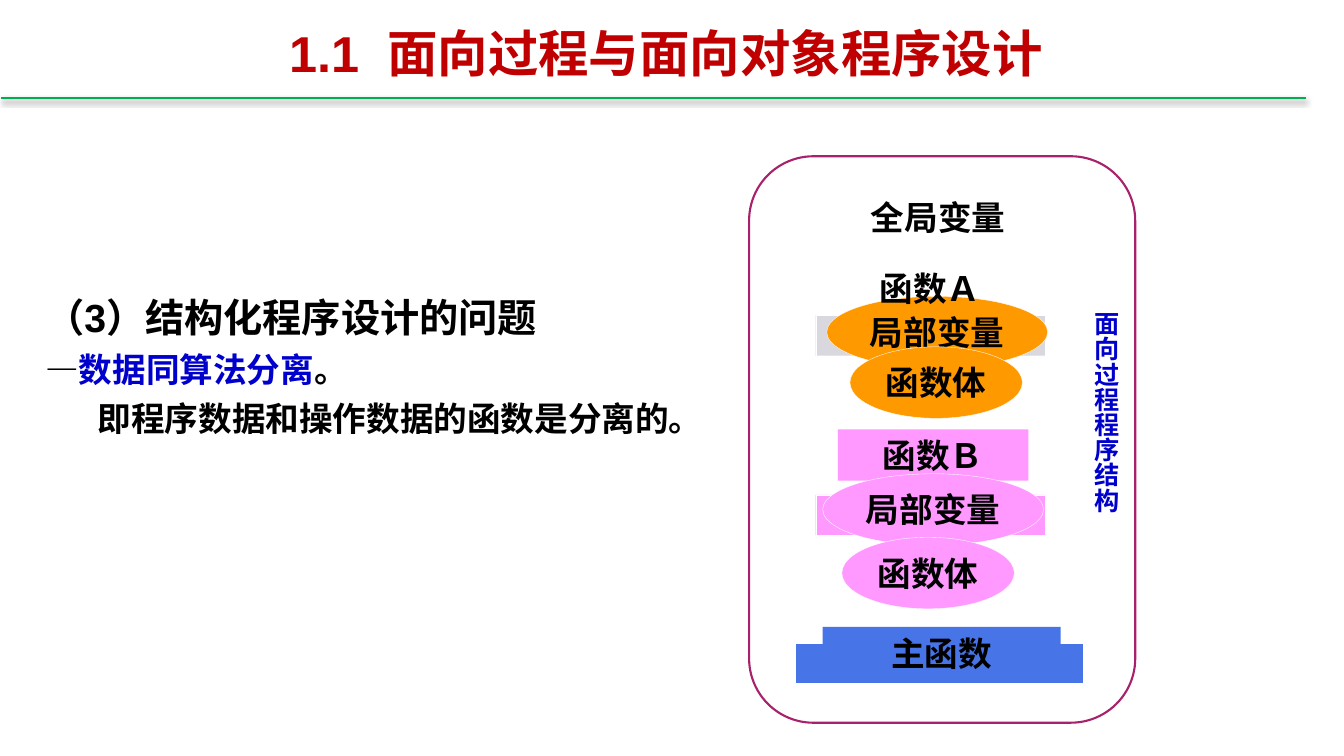
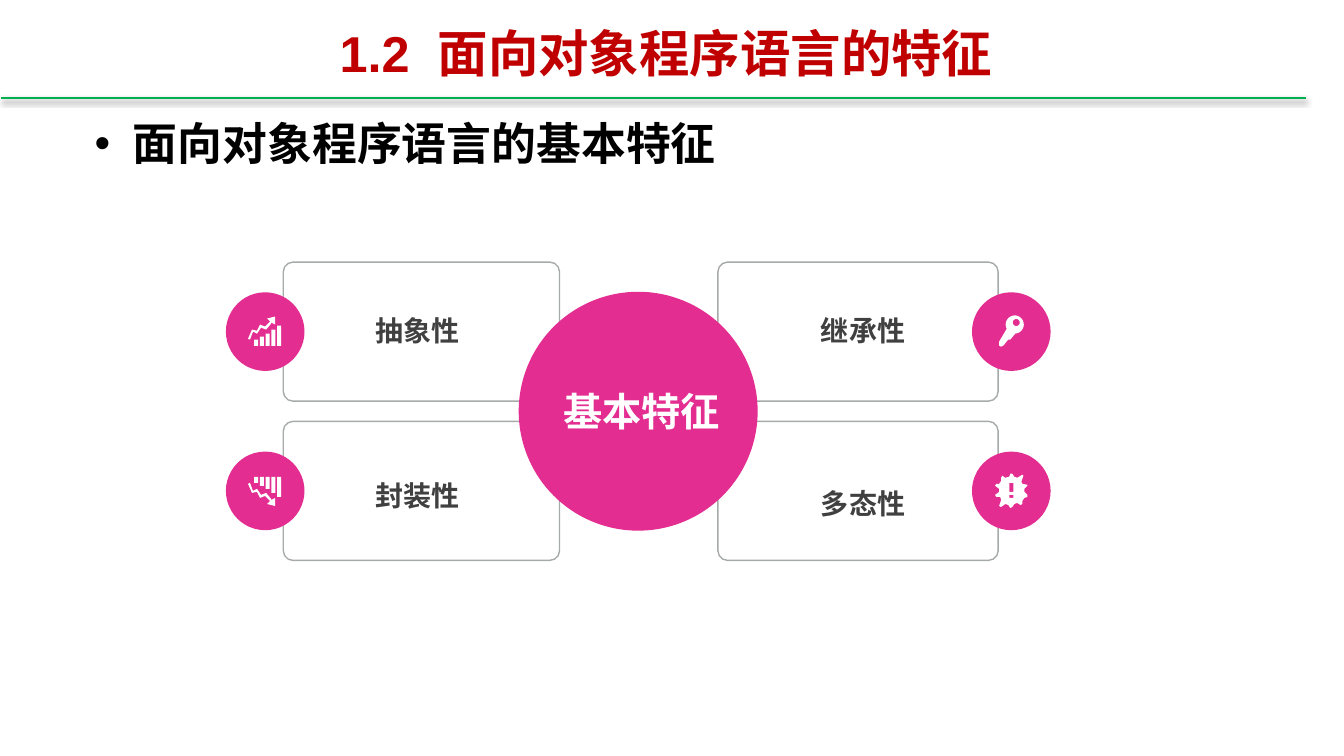
from math import cos, radians, sin

from lxml.etree import SubElement
from pptx import Presentation
from pptx.dml.color import RGBColor
from pptx.enum.shapes import MSO_CONNECTOR as Conn, MSO_SHAPE as Kind
from pptx.enum.text import MSO_ANCHOR as Anchor, PP_ALIGN as Align
from pptx.oxml.ns import qn
from pptx.util import Inches, Pt

ARIAL, TIMES, NOTO = "Arial", "Times New Roman", "Noto Sans CJK SC"
RED, GREEN, BLUE, PINK = "C00000", "00B050", "0000CC", "E32D91"
BLACK, WHITE, GREY, DARK = "000000", "FFFFFF", "A6AAA9", "404040"
ORANGE, LILAC, ROYAL, PALE = "FF9900", "FF99FF", "4775E7", "D8D8DE"
PLUM = "A8216B"


def rgb(code):
    return RGBColor.from_string(code)


def write(frame, paras, size=24, font=TIMES, color=BLACK, align=Align.CENTER,
          anchor=Anchor.MIDDLE, inset=(0.1, 0.05), wrap=True, gap=0, lead=None):
    """Fill a frame; each paragraph is a string or a list of (text, changes)."""
    frame.word_wrap = wrap
    frame.vertical_anchor = anchor
    frame.margin_left = frame.margin_right = Inches(inset[0])
    frame.margin_top = frame.margin_bottom = Inches(inset[1])
    for i, runs in enumerate([paras] if isinstance(paras, str) else paras):
        para = frame.add_paragraph() if i else frame.paragraphs[0]
        para.alignment = align
        if i and gap:
            para.space_before = Pt(gap)
        if lead:
            para.line_spacing = lead
        for text, diff in [(runs, {})] if isinstance(runs, str) else runs:
            run = para.add_run()
            run.text = text
            run.font.size = Pt(diff.get("size", size))
            run.font.bold = True
            run.font.color.rgb = rgb(diff.get("color", color))
            run.font.name = diff.get("font", font)
            SubElement(run.font._element, qn("a:ea"), typeface=NOTO)


def label(slide, box, paras, **fmt):
    frame = slide.shapes.add_textbox(*map(Inches, box)).text_frame
    write(frame, paras, **fmt)
    return frame


def paint(item, fill=None, line=None, width=0.25):
    item.shadow.inherit = False
    if fill:
        item.fill.solid()
        item.fill.fore_color.rgb = rgb(fill)
    else:
        item.fill.background()
    if line:
        item.line.color.rgb = rgb(line)
        item.line.width = Pt(width)
    else:
        item.line.fill.background()


def shape(slide, kind, box, text=None, fill=None, line=None, width=0.25, **fmt):
    item = slide.shapes.add_shape(kind, *map(Inches, box))
    paint(item, fill, line, width)
    if text:
        write(item.text_frame, text, **fmt)
    return item


def outline(slide, center, paths, fill=WHITE):
    """Draw closed paths given in hundredths of an inch from the center."""
    pen = None
    for path in paths:
        pts = [tuple(Inches(c + v / 100) for c, v in zip(center, pt))
               for pt in path]
        if pen:
            pen.move_to(*pts[0])
        else:
            pen = slide.shapes.build_freeform(*pts[0])
        pen.add_line_segments(pts[1:], close=True)
    paint(pen.convert_to_shape(), fill)


def header(slide, title):
    rule = slide.shapes.add_connector(
        Conn.STRAIGHT, *map(Inches, (0.01, 0.97, 12.95, 0.97)))
    rule.line.color.rgb = rgb(GREEN)
    rule.line.width = Pt(1.25)
    effect = SubElement(rule._element.spPr, qn("a:effectLst"))
    shade = SubElement(effect, qn("a:outerShdw"), blurRad=str(Pt(4)),
                       dist=str(Pt(2.5)), dir="5400000", rotWithShape="0")
    tint = SubElement(shade, qn("a:srgbClr"), val=BLACK)
    SubElement(tint, qn("a:alpha"), val="47000")
    label(slide, (2.22, 0.14, 8.77, 0.76), title,
          size=36, font=ARIAL, color=RED)


# Slide 1: structure of a procedural program

def issue(slide, box):
    frame = label(slide, box, [
        [("（3）结构化程序设计", {"size": 28, "font": ARIAL}),
         ("的问题", {"size": 28})],
        [("—", {"font": ARIAL}), ("数据同算法分离", {"color": BLUE}), ("。", {})],
        "即程序数据和操作数据的函数是分离的。",
    ], align=Align.LEFT, anchor=Anchor.TOP, gap=6)
    frame.paragraphs[2]._p.get_or_add_pPr().set("marL", str(Inches(0.52)))


def stack(slide, x, y, parts):
    """Draw a function from parts placed relative to (x, y)."""
    for kind, (dx, dy, w, h), text, fill, line in parts:
        shape(slide, kind, (x + dx, y + dy, w, h), text, fill, line,
              wrap=kind != Kind.OVAL)


def program(slide, x, y):
    shape(slide, Kind.ROUNDED_RECTANGLE, (x, y, 3.83, 5.62),
          fill=WHITE, line=PLUM, width=1.5)
    shape(slide, Kind.OVAL, (x + 0.57, y + 0.25, 2.61, 0.71), "全局变量",
          line=WHITE)
    box, oval = Kind.RECTANGLE, Kind.OVAL
    stack(slide, x + 0.66, y + 1.05, [
        (box, (0, 0.53, 2.28, 0.4), None, PALE, WHITE),
        (oval, (0.11, 0.34, 2.19, 0.71), "局部变量", ORANGE, WHITE),
        (box, (0.19, 0, 1.89, 0.51), "函数Ａ", None, None),
        (oval, (0.34, 0.84, 1.71, 0.71), "函数体", ORANGE, WHITE)])
    stack(slide, x + 0.66, y + 2.71, [
        (box, (0, 0.65, 2.28, 0.4), None, LILAC, WHITE),
        (box, (0.22, 0, 1.89, 0.51), "函数Ｂ", LILAC, None),
        (oval, (0.07, 0.44, 2.19, 0.71), "局部变量", LILAC, WHITE),
        (oval, (0.26, 1.07, 1.71, 0.71), "函数体", LILAC, WHITE)])
    stack(slide, x + 0.46, y + 4.67, [
        (box, (0, 0.16, 2.85, 0.4), None, ROYAL, WHITE),
        (box, (0.27, 0, 2.36, 0.51), "主函数", ROYAL, None)])
    side = label(slide, (x + 3.24, y + 1.44, 0.5, 2.35), "面向过程程序结构",
                 size=18, font=ARIAL, color=BLUE, align=Align.LEFT,
                 anchor=Anchor.TOP, inset=(0.05, 0.1))
    side._txBody.bodyPr.set("vert", "eaVert")


# Slide 2: basic features around a hub

def rect(left, top, right, bottom):
    return [(left, top), (right, top), (right, bottom), (left, bottom)]


def arc(x, y, r, start, stop):
    return [(x + r * cos(radians(a)), y + r * sin(radians(a)))
            for a in range(start, stop, 14)]


def trend(sign):
    """Bars and a zigzag arrow; sign -1 turns them upside down."""
    arrow = [(-4, -4), (1, -2), (6, -8), (6, -9), (10, -7), (10, -15),
             (2, -13), (5, -10), (0, -5), (-5, -7), (-8, -1), (-13, -2),
             (-17, 7), (-15, 8), (-12, 0), (-8, 2)]
    bars = [rect(-11 + 5.75 * i, top, -7 + 5.75 * i, 14)
            for i, top in enumerate((8, 5, 2, -2, -6))]
    return [[(x, sign * y) for x, y in path] for path in [arrow] + bars]


def key():
    shaft = [(-1, 8), (-3, 8), (-7, 13), (-8, 14), (-10, 15), (-12, 14),
             (-12, 10)]
    return [arc(3.5, -7, 9, 152, 460) + shaft, arc(5, -9, 3.5, 0, 360)]


def burst():
    star = [(16, 4), (13, 1), (13, -2), (16, -5), (16, -6), (11, -7),
            (10, -9), (12, -15), (11, -16), (6, -13), (3, -14), (1, -17),
            (-1, -17), (-2, -14), (-6, -13), (-9, -15), (-10, -13),
            (-10, -10), (-12, -7), (-15, -7), (-16, -5), (-12, -2),
            (-12, 1), (-16, 4), (-15, 6), (-11, 6), (-10, 9), (-12, 15),
            (-10, 16), (-6, 13), (-3, 14), (-1, 17), (1, 16), (3, 13),
            (6, 12), (9, 14), (11, 13), (11, 10), (13, 7), (16, 6)]
    return [star, rect(-2, -8, 2, 1), rect(-2, 4, 2, 7)]


def card(slide, box):
    item = shape(slide, Kind.ROUNDED_RECTANGLE, box, line=GREY, width=1)
    item.adjustments[0] = 0.07


def disc(slide, x, y, size, text=None, **fmt):
    shape(slide, Kind.OVAL, (x - size / 2, y - size / 2, size, size),
          text, PINK, **fmt)


def wheel(slide, x, y):
    """Four cards with icons around a hub centered on (x, y)."""
    cards = [
        (-1, -1, "抽象性", 3.08, trend(1)),
        (-1, 1, "封装性", 4.72, trend(-1)),
        (1, -1, "继承性", 3.08, key()),
        (1, 1, "多态性", 4.8, burst()),
    ]
    for across, down, *_ in cards:
        left = x + 0.79 if across > 0 else x - 3.52
        wide = 2.78 if across > 0 else 2.74
        card(slide, (left, y + 0.79 * down - 0.69, wide, 1.38))
    disc(slide, x, y, 2.37)
    for across, down, name, top, icon in cards:
        mid = (x + 3.7 * across, y + 0.79 * down)
        disc(slide, *mid, 0.78)
        outline(slide, mid, icon)
        label(slide, (x + 2.21 * across + 0.02 - 0.42, top, 0.84, 0.33),
              name, size=20, font=NOTO, color=DARK, inset=(0, 0),
              wrap=False, lead=1.2)
    label(slide, (x - 0.78, y - 0.26, 1.63, 0.52), "基本特征",
          size=28, font=NOTO, color=WHITE, inset=(0, 0))


def bullet(slide, box, text):
    frame = label(slide, box, text, size=32, font=NOTO,
                  align=Align.LEFT, anchor=Anchor.TOP)
    props = frame.paragraphs[0]._p.get_or_add_pPr()
    props.set("marL", str(Inches(0.38)))
    props.set("indent", str(Inches(-0.38)))
    SubElement(props, qn("a:buFont"), typeface=ARIAL)
    SubElement(props, qn("a:buChar"), char="•")


def main():
    deck = Presentation()
    deck.slide_width, deck.slide_height = Inches(13.33), Inches(7.5)
    blank = deck.slide_layouts[6]

    first = deck.slides.add_slide(blank)
    header(first, "1.1  面向过程与面向对象程序设计")
    program(first, 7.43, 1.55)
    issue(first, (0.35, 2.86, 6.76, 1.78))

    second = deck.slides.add_slide(blank)
    header(second, "1.2  面向对象程序语言的特征")
    wheel(second, 6.33, 4.08)
    bullet(second, (0.84, 1.1, 10.54, 0.84), "面向对象程序语言的基本特征")

    deck.save("out.pptx")


if __name__ == "__main__":
    main()
